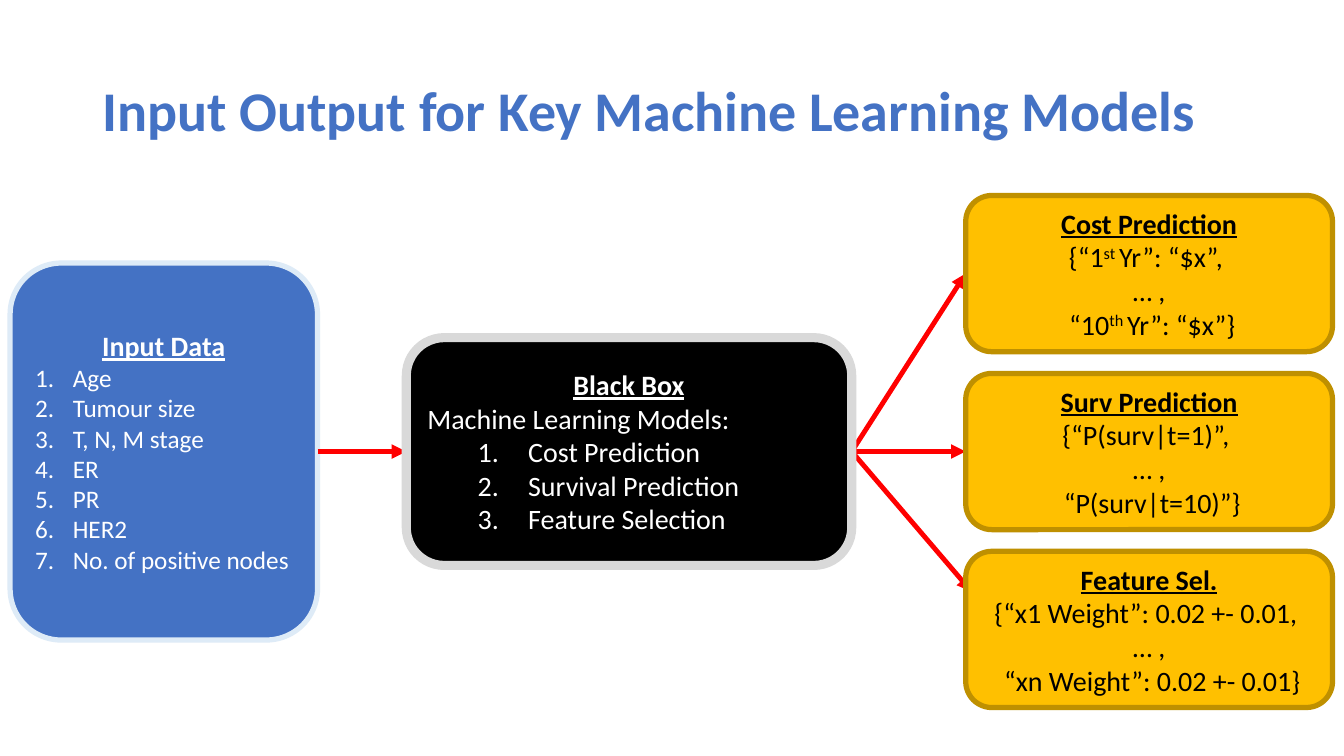
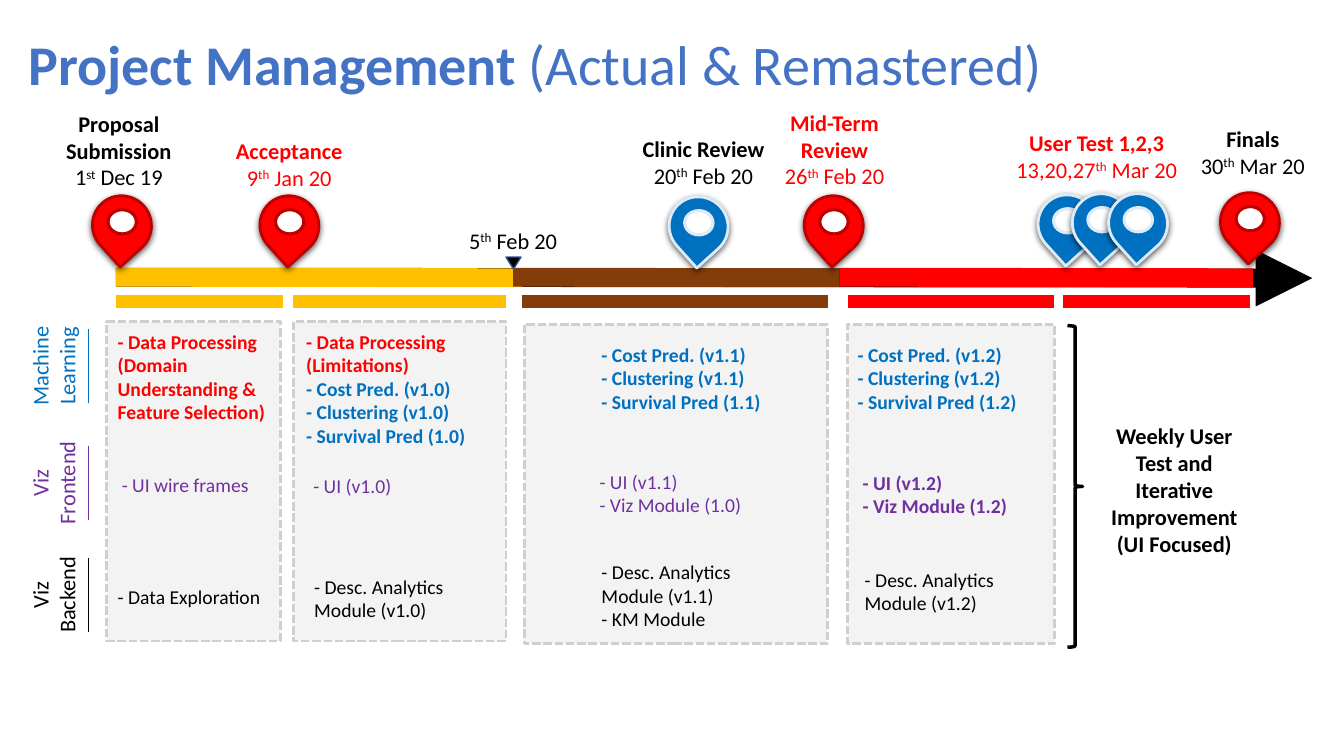
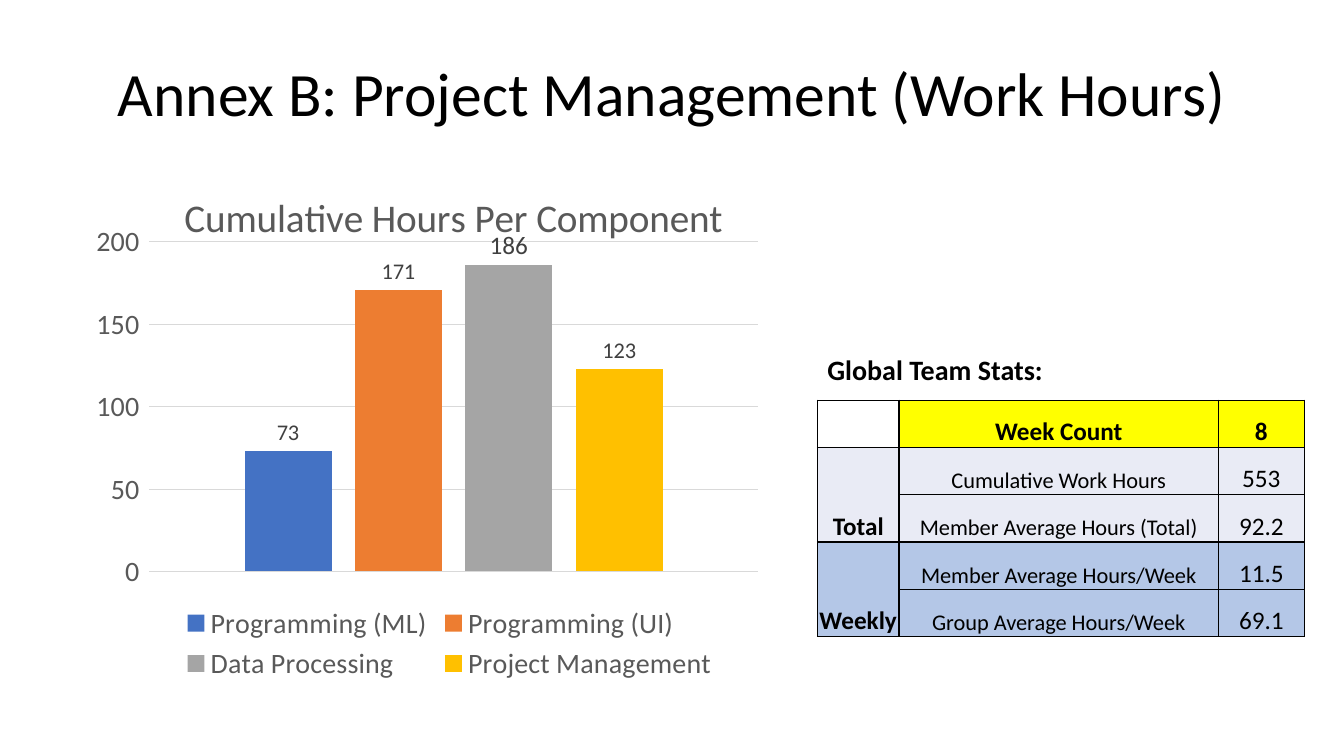
"""Build three project slides: model flow, project timeline and work hours."""
from dataclasses import dataclass
from typing import NamedTuple

from pptx import Presentation
from pptx.chart.data import CategoryChartData
from pptx.dml.color import RGBColor
from pptx.enum.chart import XL_CHART_TYPE, XL_LABEL_POSITION, XL_LEGEND_POSITION, XL_TICK_MARK
from pptx.enum.dml import MSO_LINE
from pptx.enum.shapes import MSO_CONNECTOR, MSO_SHAPE
from pptx.enum.text import MSO_ANCHOR, MSO_AUTO_SIZE, PP_ALIGN
from pptx.oxml import parse_xml
from pptx.oxml.ns import nsdecls, qn
from pptx.util import Pt

LEFT, CENTER = PP_ALIGN.LEFT, PP_ALIGN.CENTER
TOP, MIDDLE, BOTTOM = MSO_ANCHOR.TOP, MSO_ANCHOR.MIDDLE, MSO_ANCHOR.BOTTOM
RECTANGLE, ROUNDED = MSO_SHAPE.RECTANGLE, MSO_SHAPE.ROUNDED_RECTANGLE
TEARDROP, OVAL = MSO_SHAPE.TEAR, MSO_SHAPE.OVAL
TRIANGLE, BRACE = MSO_SHAPE.ISOSCELES_TRIANGLE, MSO_SHAPE.RIGHT_BRACE
STRAIGHT = MSO_CONNECTOR.STRAIGHT
LEFT_SIDE, RIGHT_SIDE = 1, 3
FONT = "Calibri"
COLORS = {
    "black": "000000", "white": "FFFFFF", "blue": "4472C4", "pale blue": "DEEBF7",
    "red": "FF0000", "dark red": "C00000", "gold": "FFC000", "dark gold": "BF9000",
    "light gray": "D9D9D9", "panel": "D0CECE", "brown": "843C0B", "sea": "0070C0",
    "purple": "7030A0", "navy": "325491", "orange": "ED7D31", "gray": "A5A5A5",
    "axis": "595959", "label": "404040", "yellow": "FFFF00", "mist": "E9EBF5",
    "sky": "B4C7E7",
}


class Box(NamedTuple):
    """Place and size in points."""
    left: float
    top: float
    width: float
    height: float

    def lengths(self) -> list:
        """Return the four lengths for python-pptx."""
        return [Pt(value) for value in self]


@dataclass
class Span:
    """One run of text."""
    text: str
    size: float
    color: str = "black"
    bold: bool = False
    underline: bool = False
    raised: bool = False


@dataclass
class Para:
    """One paragraph, numbered when it has a hanging indent."""
    spans: list[Span]
    align: PP_ALIGN = LEFT
    margin: float = 0
    hang: float = 0


@dataclass
class Milestone:
    """A dated label above the timeline."""
    left: float
    top: float
    headings: list[str]
    date: tuple[str, str, str]
    color: str = "black"
    width: float = 116.6


class Pin(NamedTuple):
    """A marker on the timeline."""
    left: float
    top: float
    fill: str = "red"
    line: str = "dark red"


class Note(NamedTuple):
    """A block of tasks in a panel."""
    box: Box
    paras: list[Para]


class Bar(NamedTuple):
    """A column of the chart."""
    name: str
    hours: int
    color: str
    label_size: float = 16


def rgb(name: str) -> RGBColor:
    """Return a colour by its name."""
    return RGBColor.from_string(COLORS[name])


def set_font(font, size: float, color: str, bold: bool = False) -> None:
    """Format a font."""
    font.name, font.size, font.bold = FONT, Pt(size), bold
    font.color.rgb = rgb(color)


def write(frame, paras: list[Para], anchor=TOP, spacing=None) -> None:
    """Fill a text frame with paragraphs."""
    frame.word_wrap = True
    frame.vertical_anchor = anchor
    for index, para in enumerate(paras):
        target = frame.add_paragraph() if index else frame.paragraphs[0]
        target.alignment = para.align
        if spacing:
            target.line_spacing = spacing
        if para.hang:
            properties = target._p.get_or_add_pPr()
            properties.set("marL", str(Pt(para.margin)))
            properties.set("indent", str(-Pt(para.hang)))
            properties.append(parse_xml(f'<a:buAutoNum {nsdecls("a")} type="arabicPeriod"/>'))
        for span in para.spans:
            run = target.add_run()
            run.text = span.text
            set_font(run.font, span.size, span.color, span.bold)
            run.font.underline = span.underline
            if span.raised:
                run._r.get_or_add_rPr().set("baseline", "30000")


def add_page(deck, box: Box, spans: list[Span], align=LEFT, anchor=MIDDLE):
    """Add a title-only slide with a formatted title."""
    page = deck.slides.add_slide(deck.slide_layouts[5])
    title = page.shapes.title
    title.left, title.top, title.width, title.height = box.lengths()
    write(title.text_frame, [Para(spans, align)], anchor, 0.9)
    title.text_frame.auto_size = MSO_AUTO_SIZE.NONE
    return page


def add_text(page, box: Box, paras: list[Para], rotation: float = 0) -> None:
    """Add a text box that grows with its text."""
    shape = page.shapes.add_textbox(*box.lengths())
    shape.rotation = rotation
    write(shape.text_frame, paras)
    shape.text_frame.auto_size = MSO_AUTO_SIZE.SHAPE_TO_FIT_TEXT


def add_figure(shapes, kind, box: Box, fill: str | None, line: str, width: float, rotation: float = 0):
    """Add a preset shape without a shadow."""
    shape = shapes.add_shape(kind, *box.lengths())
    shape.shadow.inherit = False
    shape.rotation = rotation
    if fill:
        shape.fill.solid()
        shape.fill.fore_color.rgb = rgb(fill)
    else:
        shape.fill.background()
    shape.line.color.rgb = rgb(line)
    shape.line.width = Pt(width)
    return shape


def add_line(page, start: tuple, end: tuple, color: str, width: float, arrow: bool = False):
    """Add a straight line, with an arrowhead if asked."""
    line = page.shapes.add_connector(STRAIGHT, *[Pt(value) for value in (*start, *end)])
    line.line.color.rgb = rgb(color)
    line.line.width = Pt(width)
    if arrow:
        line.line._get_or_add_ln().append(parse_xml(f'<a:tailEnd {nsdecls("a")} type="triangle"/>'))
    line._element.spPr.append(parse_xml(f'<a:effectLst {nsdecls("a")}/>'))
    return line


def dated(date: tuple[str, str, str], size: float, color: str = "black") -> list[Span]:
    """Return spans with a raised ordinal ending."""
    before, ending, after = date
    return [Span(before, size, color), Span(ending, size, color, raised=True), Span(after, size, color)]


def heading(text: str, color: str) -> Para:
    """Return an underlined box heading."""
    return Para([Span(text, 20, color, True, True)], CENTER)


def tasks(color: str, bold: bool, *texts: str) -> list[Para]:
    """Return task lines in one style."""
    return [Para([Span(text, 14, color, bold)]) for text in texts]


def add_pin(page, pin: Pin) -> None:
    """Draw a map pin as a group."""
    shapes = page.shapes.add_group_shape().shapes
    drop = add_figure(shapes, TEARDROP, Box(pin.left, pin.top, 41.8, 42.5), pin.fill, pin.line, 2, 137.9)
    drop._element.spPr.find(qn("a:effectLst")).append(parse_xml(
        f'<a:outerShdw {nsdecls("a")} blurRad="{Pt(4.5)}" dist="{Pt(1.5)}" dir="5400000" algn="ctr">'
        '<a:srgbClr val="000000"><a:alpha val="63000"/></a:srgbClr></a:outerShdw>'))
    add_figure(shapes, OVAL, Box(pin.left + 11, pin.top + 10.1, 20.2, 17.3), "white", pin.line, 2.25)


def build_models(deck) -> None:
    """Build the input and output slide."""
    page = add_page(deck, Box(66.2, 28.8, 828, 104.4),
                    [Span("Input Output for Key Machine Learning Models", 40, "blue", True)])
    inputs = ["Age", "Tumour size", "T, N, M stage", "ER", "PR", "HER2", "No. of positive nodes"]
    models = ["Cost Prediction", "Survival Prediction", "Feature Selection"]
    outputs = [
        ("Cost Prediction", dated(("{“1", "st ", "Yr”: “$x”, "), 20), dated((" “10", "th ", "Yr”: “$x”}"), 20)),
        ("Surv Prediction", [Span("{“P(surv|t=1)”, ", 20)], [Span(" “P(surv|t=10)”}", 20)]),
        ("Feature Sel.", [Span("{“x1 Weight”: 0.02 +- 0.01, ", 20)], [Span(" “xn Weight”: 0.02 +- 0.01}", 20)]),
    ]
    input_box = add_figure(page.shapes, ROUNDED, Box(7.2, 187.9, 219.6, 269.3), "blue", "pale blue", 3.75)
    write(input_box.text_frame, [heading("Input Data", "white")] + [
        Para([Span(text, 18, "white")], margin=27, hang=27) for text in inputs], MIDDLE)
    input_arrow, *output_arrows = [add_line(page, (0, 0), (694, 422.6), "red", 3.5, True) for _ in range(4)]
    black_box = add_figure(page.shapes, ROUNDED, Box(290.2, 241.2, 318.2, 162.7), "black", "light gray", 6.5)
    write(black_box.text_frame, [
        heading("Black Box", "white"), Para([Span("Machine Learning Models:", 20, "white")])] + [
        Para([Span(text, 20, "white")], margin=72, hang=36) for text in models], MIDDLE)
    input_arrow.begin_connect(input_box, RIGHT_SIDE)
    input_arrow.end_connect(black_box, LEFT_SIDE)
    for index, ((name, first, last), arrow) in enumerate(zip(outputs, output_arrows)):
        output_box = add_figure(page.shapes, ROUNDED, Box(689.8, 139.6 + 127.1 * index, 262, 111.6),
                                "gold", "dark gold", 3.75)
        write(output_box.text_frame, [heading(name, "black")] + [
            Para(spans, CENTER) for spans in (first, [Span("… ,", 20)], last)], MIDDLE)
        arrow.begin_connect(black_box, RIGHT_SIDE)
        if index < 2:
            arrow.end_connect(output_box, LEFT_SIDE)


def build_timeline(deck) -> None:
    """Build the project timeline slide."""
    page = add_page(deck, Box(13, -4.3, 828, 104.4), [
        Span("Project Management ", 40, "blue", True), Span("(Actual & Remastered)", 40, "blue")])
    for left, top, width in [(76.3, 229.7, 123.8), (209.5, 229.7, 151.9),
                             (374.4, 231.8, 216.7), (605.5, 231.8, 147.6)]:
        panel = add_figure(page.shapes, RECTANGLE, Box(left, top, width, 228.2), "panel", "panel", 2)
        panel.line.dash_style = MSO_LINE.SQUARE_DOT
        panel._element.spPr.find(qn("a:solidFill"))[0].append(
            parse_xml(f'<a:alpha {nsdecls("a")} val="24000"/>'))

    add_line(page, (82.8, 198), (937.4, 198.7), "black", 13.5, True)
    for start, end, color in [(82.8, 373, "gold"), (366.5, 599.8, "brown"), (599.8, 895, "red")]:
        add_line(page, (start, 198), (end, 198.4), color, 13.5)
    for start, end, color in [(82.8, 202.3, "gold"), (209.5, 361.4, "gold"), (373, 591.8, "brown"),
                              (605.5, 753.1, "red"), (759.6, 892.8, "red")]:
        add_line(page, (start, 215.3), (end, 215.3), color, 8.75)

    for pin in [Pin(66.2, 139.7), Pin(185.8, 139.7), Pin(574.6, 139.7), Pin(871.9, 137.5),
                Pin(478.1, 140.4, "sea", "pale blue"), Pin(741.6, 139, "sea", "pale blue"),
                Pin(766.1, 138.2, "sea", "pale blue"), Pin(792, 138.2, "sea", "pale blue")]:
        add_pin(page, pin)
    add_figure(page.shapes, TRIANGLE, Box(361.4, 183.6, 10.8, 8.6), "black", "navy", 1, 180)

    for mark in [
        Milestone(26.6, 74.9, ["Proposal Submission"], ("1", "st", " Dec 19")),
        Milestone(148.3, 94.3, ["Acceptance"], ("9", "th", " Jan 20"), "red"),
        Milestone(308.2, 158.4, [], ("5", "th", " Feb 20")),
        Milestone(444.2, 92.9, ["Clinic Review"], ("20", "th", " Feb 20")),
        Milestone(537.8, 74.2, ["Mid-Term", "Review"], ("26", "th", " Feb 20"), "red"),
        Milestone(711.4, 88.6, ["User Test 1,2,3"], ("13,20,27", "th", " Mar 20"), "red", 144),
        Milestone(836.6, 85.7, ["Finals"], ("30", "th", " Mar 20")),
    ]:
        paras = [Para([Span(text, 16, mark.color, True)], CENTER) for text in mark.headings]
        paras.append(Para(dated(mark.date, 16, mark.color), CENTER))
        add_text(page, Box(mark.left, mark.top, mark.width, 7.2 + 19.6 * len(paras)), paras)

    for name, top, color in [("Machine Learning", 238.3, "sea"), ("Viz Frontend", 321.8, "purple"),
                             ("Viz Backend", 401.8, "black")]:
        add_text(page, Box(-4.3, top, 85, 46.1), [Para([Span(name, 16, color)], CENTER)], 270)
        add_line(page, (63.4, top + 49.9), (63.4, top - 3.4), color, 1)

    for note in [
        Note(Box(77, 231.8, 125.3, 74.9), tasks(
            "red", True, "- Data Processing", "(Domain Understanding & Feature Selection)")),
        Note(Box(79.9, 334.1, 125.3, 41), tasks("purple", False, "- UI wire frames")),
        Note(Box(77, 414, 125.3, 41), tasks("black", False, "- Data Exploration")),
        Note(Box(211.7, 231.8, 134.6, 108.7), tasks("red", True, "- Data Processing", "(Limitations)") + tasks(
            "sea", True, "- Cost Pred. (v1.0)", "- Clustering (v1.0)", "- Survival Pred (1.0)")),
        Note(Box(216.7, 334.8, 125.3, 24.5), tasks("purple", False, "- UI (v1.0)")),
        Note(Box(217.4, 406.8, 125.3, 41), tasks("black", False, "- Desc. Analytics Module (v1.0)")),
        Note(Box(422.6, 241.2, 134.6, 74.9), tasks(
            "sea", True, "- Cost Pred. (v1.1)", "- Clustering (v1.1)", "- Survival Pred (1.1)")),
        Note(Box(421.2, 331.9, 125.3, 41), tasks("purple", False, "- UI (v1.1)", "- Viz Module (1.0)")),
        Note(Box(422.6, 396.7, 125.3, 74.9), tasks(
            "black", False, "- Desc. Analytics Module (v1.1)", "- KM Module")),
        Note(Box(605.5, 241.2, 134.6, 74.9), tasks(
            "sea", True, "- Cost Pred. (v1.2)", "- Clustering (v1.2)", "- Survival Pred (1.2)")),
        Note(Box(609.1, 332.6, 125.3, 58.3), tasks("purple", True, "- UI (v1.2)", "- Viz Module (1.2)")),
        Note(Box(610.6, 401.8, 125.3, 58.3), tasks("black", False, "- Desc. Analytics Module (v1.2)")),
    ]:
        add_text(page, note.box, note.paras)

    add_figure(page.shapes, BRACE, Box(762.5, 232.6, 10.8, 229.7), None, "black", 2.5)
    add_text(page, Box(780.5, 298.1, 116.6, 104.4), [Para([
        Span("Weekly User Test and Iterative Improvement (UI Focused)", 16, bold=True)], CENTER)])


def set_layout(parent, index: int, **values) -> None:
    """Give a chart part a manual layout."""
    for old in parent.findall(qn("c:layout")):
        parent.remove(old)
    items = "".join(f'<c:{name} val="{value}"/>' for name, value in values.items())
    parent.insert(index, parse_xml(
        f'<c:layout {nsdecls("c")}><c:manualLayout>{items}</c:manualLayout></c:layout>'))


def add_hours_chart(page) -> None:
    """Add the column chart of hours."""
    bars = [Bar("Programming (ML)", 73, "blue"), Bar("Programming (UI)", 171, "orange"),
            Bar("Data Processing", 186, "gray", 18), Bar("Project Management", 123, "gold")]
    data = CategoryChartData()
    data.categories = ["1"]
    for bar in bars:
        data.add_series(bar.name, [bar.hours])
    chart = page.shapes.add_chart(
        XL_CHART_TYPE.COLUMN_CLUSTERED, *Box(51.1, 112.3, 540, 378).lengths(), data).chart
    set_font(chart.font, 10, "black")
    chart.has_title = True
    title_run = chart.chart_title.text_frame.paragraphs[0].add_run()
    title_run.text = "Cumulative Hours Per Component"
    set_font(title_run.font, 28, "axis")
    set_layout(chart.chart_title._element, 1, xMode="edge", yMode="edge", x=0.14, y=0.05)
    set_layout(chart._chartSpace.xpath("c:chart/c:plotArea")[0], 0, layoutTarget="inner",
               xMode="edge", yMode="edge", x=0.103, y=0.16, w=0.805, h=0.623)
    chart.has_legend = True
    chart.legend.position = XL_LEGEND_POSITION.BOTTOM
    chart.legend.include_in_layout = False
    set_font(chart.legend.font, 20, "axis")
    chart.category_axis.visible = False
    axis = chart.value_axis
    axis.minimum_scale, axis.maximum_scale, axis.major_unit = 0, 200, 50
    axis.major_tick_mark = XL_TICK_MARK.OUTSIDE
    axis.format.line.fill.background()
    axis.major_gridlines.format.line.color.rgb = rgb("light gray")
    axis.major_gridlines.format.line.width = Pt(0.75)
    set_font(axis.tick_labels.font, 20, "axis")
    plot = chart.plots[0]
    plot.gap_width, plot.overlap, plot.vary_by_categories = 219, -27, False
    for bar, series in zip(bars, plot.series):
        series.format.fill.solid()
        series.format.fill.fore_color.rgb = rgb(bar.color)
        labels = series.data_labels
        labels.show_value = True
        labels.position = XL_LABEL_POSITION.OUTSIDE_END
        set_font(labels.font, bar.label_size, "label")


def add_stats_table(page) -> None:
    """Add the table of team statistics."""
    rows = [("", "Week Count", "8", "yellow"), ("Total", "Cumulative Work Hours", "553", "mist"),
            ("", "Member Average Hours (Total)", "92.2", "mist"),
            ("Weekly", "Member Average Hours/Week", "11.5", "sky"),
            ("", "Group Average Hours/Week", "69.1", "sky")]
    table = page.shapes.add_table(5, 3, *Box(583.9, 285.8, 347.7, 169).lengths()).table
    table.first_row = table.horz_banding = False
    for column, width in zip(table.columns, (58.3, 228.2, 61.2)):
        column.width = Pt(width)
    for row_index, (*texts, fill) in enumerate(rows):
        table.rows[row_index].height = Pt(33.8)
        for column_index, text in enumerate(texts):
            cell = table.cell(row_index, column_index)
            cell.margin_left = cell.margin_right = cell.margin_top = Pt(0.7)
            cell.margin_bottom = 0
            cell.vertical_anchor = BOTTOM
            for side in "LRTB":
                cell._tc.get_or_add_tcPr().append(parse_xml(
                    f'<a:ln{side} {nsdecls("a")} w="{Pt(1)}"><a:solidFill>'
                    f'<a:srgbClr val="{COLORS["black"]}"/></a:solidFill></a:ln{side}>'))
            if row_index == column_index == 0:
                cell.fill.background()
            else:
                cell.fill.solid()
                cell.fill.fore_color.rgb = rgb(fill)
            if text:
                size = 16 if row_index and column_index == 1 else 18
                bold = row_index == 0 or column_index == 0
                write(cell.text_frame, [Para([Span(text, size, bold=bold)], CENTER)], BOTTOM)
    for first in (1, 3):
        table.cell(first, 0).merge(table.cell(first + 1, 0))


def build_hours(deck) -> None:
    """Build the work hours slide."""
    page = add_page(deck, Box(66.2, 23, 828, 73.4),
                    [Span("Annex B: Project Management (Work Hours)", 44)], CENTER, BOTTOM)
    add_hours_chart(page)
    add_text(page, Box(583.9, 248.4, 173.5, 37.4), [Para([Span("Global Team Stats:", 20, bold=True)])])
    add_stats_table(page)


def main() -> None:
    """Build and save the deck."""
    deck = Presentation()
    deck.slide_width, deck.slide_height = Pt(960), Pt(540)
    build_models(deck)
    build_timeline(deck)
    build_hours(deck)
    deck.save("out.pptx")


if __name__ == "__main__":
    main()
